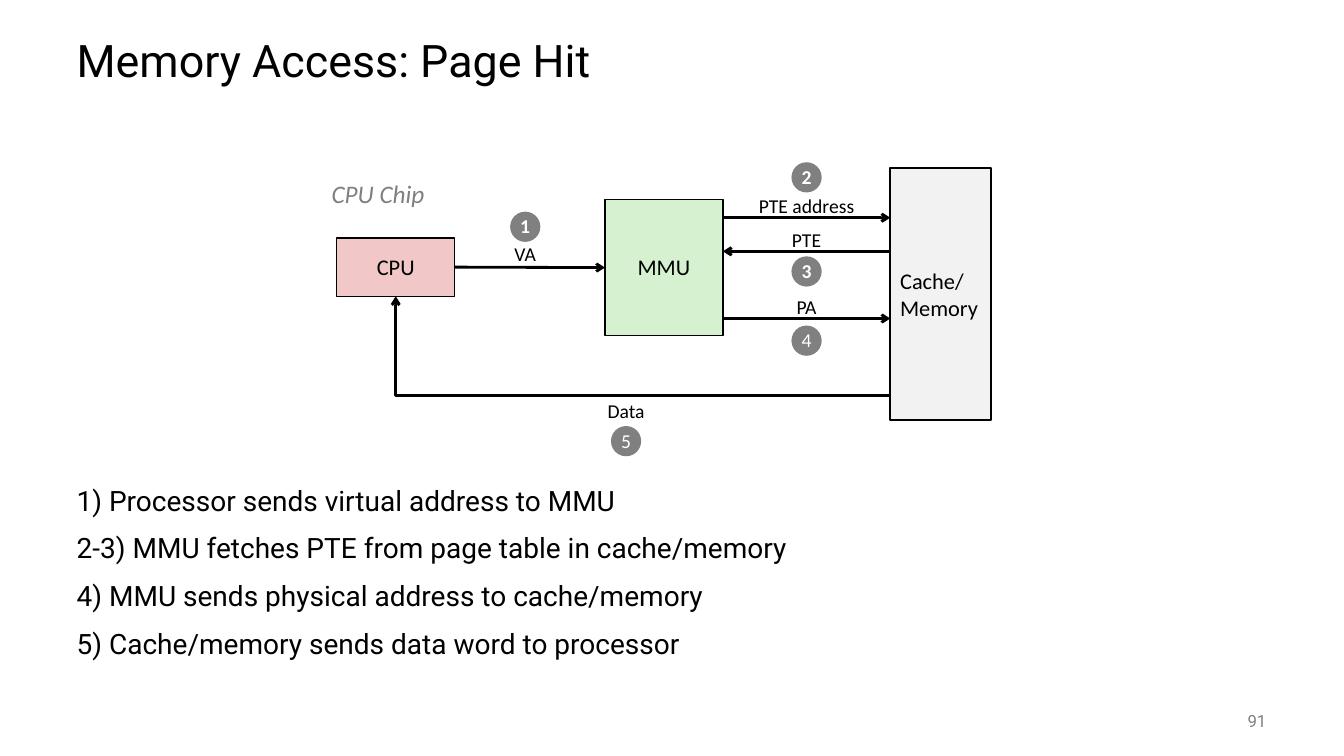
"""Builds the slide that explains memory access on a page hit."""
from lxml import etree
from pptx import Presentation
from pptx.dml.color import RGBColor
from pptx.enum.shapes import MSO_CONNECTOR, MSO_SHAPE
from pptx.enum.text import MSO_ANCHOR, MSO_AUTO_SIZE, PP_ALIGN
from pptx.oxml.ns import qn
from pptx.util import Inches, Pt

STRAIGHT, ELBOW = MSO_CONNECTOR.STRAIGHT, MSO_CONNECTOR.ELBOW
RECTANGLE, OVAL = MSO_SHAPE.RECTANGLE, MSO_SHAPE.OVAL
TOP, MIDDLE = MSO_ANCHOR.TOP, MSO_ANCHOR.MIDDLE
LEFT, CENTER, RIGHT = PP_ALIGN.LEFT, PP_ALIGN.CENTER, PP_ALIGN.RIGHT
LEFT_SIDE, BOTTOM_SIDE, RIGHT_SIDE = 1, 2, 3

COLORS = {"black": "000000", "white": "FFFFFF", "gray": "808080",
          "cpu": "F1C7C7", "mmu": "D5F1CF", "memory": "F2F2F2"}

TITLE = "Memory Access: Page Hit"
STEPS = [
    "1) Processor sends virtual address to MMU",
    "2-3) MMU fetches PTE from page table in cache/memory",
    "4) MMU sends physical address to cache/memory",
    "5) Cache/memory sends data word to processor",
]
PAGE_NUMBER = "91"

WIDTH, HEIGHT = 13.33, 7.5
MARGIN, CONTENT_WIDTH = 0.66, 12
ROW = 1 / 3
FIRST_ROW = 2.16
BADGE = 0.3
LABEL_WIDTH, LABEL_HEIGHT = 1.2, 0.33

UNITS = {
    "cpu": (["CPU"], (3.34, 2.36, 1.17, 0.58), 1, CENTER),
    "mmu": (["MMU"], (6, 1.98, 1.17, 1.35), 1, CENTER),
    "memory": (["Cache/", "Memory"], (8.83, 1.67, 1, 2.5), 1.5, LEFT),
}
MMU_EDGE, MEMORY_EDGE = 7.17, 8.83
BUS_CENTER = (MMU_EDGE + MEMORY_EDGE) / 2
DATA_ROW = 5.3

BUS_ARROWS = [
    (0, MMU_EDGE, MEMORY_EDGE),
    (1, MEMORY_EDGE, MMU_EDGE),
    (3, MMU_EDGE, MEMORY_EDGE),
]
SIGNALS = [
    ("VA", "1", 5.21, 1.5, -0.13, -0.41, True),
    ("PTE address", "2", BUS_CENTER, 0, -0.11, -0.4, True),
    ("PTE", "3", BUS_CENTER, 1, -0.11, 0.2, True),
    ("PA", "4", BUS_CENTER, 3, -0.11, 0.22, False),
    ("Data", "5", 6.21, DATA_ROW, 0.16, 0.45, False),
]


def row_top(row):
    """Return the height on the slide of a row of the diagram."""
    return FIRST_ROW + row * ROW


def place(shape, left, top, width, height):
    """Move a shape to a place given in inches."""
    shape.left, shape.top = Inches(left), Inches(top)
    shape.width, shape.height = Inches(width), Inches(height)


def write(shape, lines, size, font="Calibri", color="black", align=CENTER,
          anchor=MIDDLE, wrap=False, spacing=0.98, gap=0, hang=0,
          bold=False, italic=False):
    """Fill a shape with one formatted paragraph for each line."""
    frame = shape.text_frame
    frame.auto_size = MSO_AUTO_SIZE.NONE
    frame.word_wrap = wrap
    frame.vertical_anchor = anchor
    for index, line in enumerate(lines):
        para = frame.paragraphs[0] if index == 0 else frame.add_paragraph()
        para.alignment = align
        para.line_spacing = spacing
        para.space_before = Pt(gap if index else 0)
        properties = para._p.get_or_add_pPr()
        properties.set("marL", str(Inches(hang)))
        properties.set("indent", str(-Inches(hang)))
        etree.SubElement(properties, qn("a:buNone"))
        span = para.add_run()
        span.text = line
        span.font.name = font
        span.font.size = Pt(size)
        span.font.bold = bold
        span.font.italic = italic
        span.font.color.rgb = RGBColor.from_string(COLORS[color])


def add_text(page, area, lines, size, **style):
    """Add a text box."""
    box = page.shapes.add_textbox(*map(Inches, area))
    write(box, lines, size, **style)


def add_block(page, kind, area, fill, outline=0):
    """Add a filled shape, with a black outline if a width is given."""
    block = page.shapes.add_shape(kind, *map(Inches, area))
    block.shadow.inherit = False
    block.fill.solid()
    block.fill.fore_color.rgb = RGBColor.from_string(COLORS[fill])
    if outline:
        block.line.width = Pt(outline)
        block.line.color.rgb = RGBColor.from_string(COLORS["black"])
    else:
        block.line.fill.background()
    return block


def add_arrow(page, start, end, kind=STRAIGHT):
    """Add a black arrow between two points."""
    arrow = page.shapes.add_connector(kind, *map(Inches, (*start, *end)))
    arrow.line.width = Pt(2)
    arrow.line.color.rgb = RGBColor.from_string(COLORS["black"])
    etree.SubElement(arrow.line._get_or_add_ln(), qn("a:tailEnd"), type="arrow")
    etree.SubElement(arrow._element.spPr, qn("a:effectLst"))
    return arrow


def add_diagram(page):
    """Draw the units, the arrows between them and their labels."""
    units = {}
    for name, (lines, area, outline, align) in UNITS.items():
        units[name] = add_block(page, RECTANGLE, area, name, outline)
        spacing = 1 if align == LEFT else 0.98
        write(units[name], lines, 16, align=align, spacing=spacing)

    for row, start, end in BUS_ARROWS:
        add_arrow(page, (start, row_top(row)), (end, row_top(row)))
    request = add_arrow(page, (4.51, 2.65), (6, 2.65))
    request.begin_connect(units["cpu"], RIGHT_SIDE)
    request.end_connect(units["mmu"], LEFT_SIDE)
    reply = add_arrow(page, (MEMORY_EDGE, row_top(DATA_ROW)), (3.92, 2.94), ELBOW)
    reply._element.spPr.find(qn("a:prstGeom")).set("prst", "bentConnector2")
    reply.end_connect(units["cpu"], BOTTOM_SIDE)

    add_text(page, (3.19, 1.72, 1.16, 0.4), ["CPU Chip"], 18, color="gray",
             align=LEFT, anchor=TOP, spacing=1, italic=True)
    for label, number, center, row, label_shift, badge_shift, bold in SIGNALS:
        line = row_top(row)
        add_text(page, (center - LABEL_WIDTH / 2, line + label_shift - LABEL_HEIGHT / 2,
                        LABEL_WIDTH, LABEL_HEIGHT), [label], 14)
        badge = add_block(page, OVAL, (center - BADGE / 2, line + badge_shift - BADGE / 2,
                                       BADGE, BADGE), "gray")
        write(badge, [number], 14, color="white", bold=bold)


def main():
    """Build and save the deck."""
    deck = Presentation()
    deck.slide_width, deck.slide_height = Inches(WIDTH), Inches(HEIGHT)
    page = deck.slides.add_slide(deck.slide_layouts[1])
    title, body = page.placeholders
    place(title, MARGIN, 0.25, CONTENT_WIDTH, 0.75)
    write(title, [TITLE], 32, font="Roboto", align=LEFT, wrap=True, spacing=0.9)
    place(body, MARGIN, 4.78, CONTENT_WIDTH, 1.97)
    write(body, STEPS, 20, font="Roboto", align=LEFT, anchor=TOP, wrap=True,
          spacing=0.9, gap=12.5, hang=0.25)
    add_diagram(page)
    add_text(page, (MARGIN + CONTENT_WIDTH - 1, 6.95, 1, 0.4), [PAGE_NUMBER], 12,
             font="Roboto", color="gray", align=RIGHT, wrap=True, spacing=1)
    deck.save("out.pptx")


if __name__ == "__main__":
    main()
